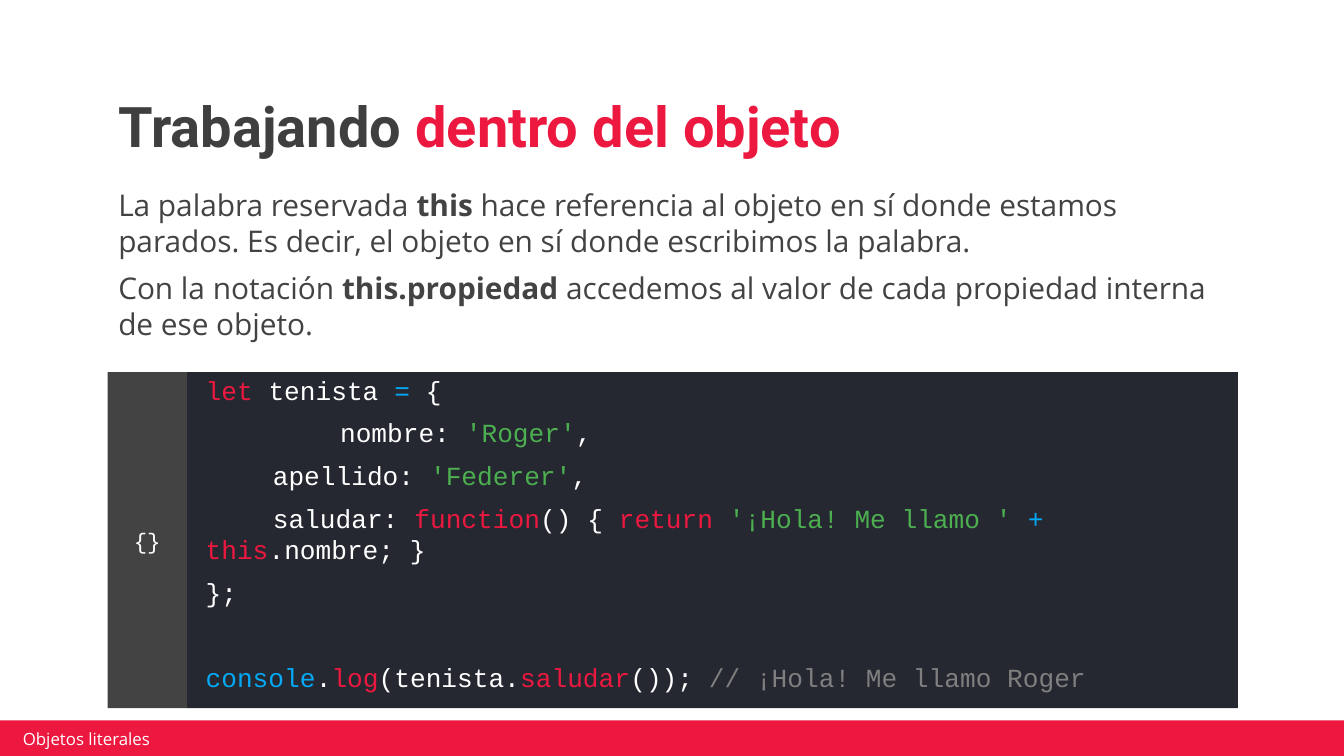
from lxml import etree
from pptx import Presentation
from pptx.dml.color import RGBColor
from pptx.enum.shapes import MSO_SHAPE
from pptx.enum.text import MSO_ANCHOR, MSO_AUTO_SIZE, PP_ALIGN
from pptx.util import Inches, Pt

RECTANGLE = MSO_SHAPE.RECTANGLE
MIDDLE, TOP, BOTTOM = MSO_ANCHOR.MIDDLE, MSO_ANCHOR.TOP, MSO_ANCHOR.BOTTOM
LEFT, CENTER = PP_ALIGN.LEFT, PP_ALIGN.CENTER
NO_FIT = MSO_AUTO_SIZE.NONE
DRAWING = "{http://schemas.openxmlformats.org/drawingml/2006/main}"

COLORS = {
    "red": "EC183F", "title": "3F3F3F", "text": "434343", "panel": "262831",
    "white": "FFFFFF", "blue": "03A9F4", "green": "4CAF50", "gray": "7F7F7F",
}

BODY = [
    [("La palabra reservada ", False), ("this", True),
     (" hace referencia al objeto en sí donde estamos parados. "
      "Es decir, el objeto en sí donde escribimos la palabra.", False)],
    [("Con la notación ", False), ("this.propiedad", True),
     (" accedemos al valor de cada propiedad interna de ese objeto.", False)],
]

# Each code line: first-line indent in inches, space before in points, runs
CODE = [
    (0, 6, [("let", "red"), (" tenista ", "white"), ("=", "blue"), (" {", "white")]),
    (1, 6, [("nombre: ", "white"), ("'Roger'", "green"), (",", "white")]),
    (0.5, 6, [("apellido: ", "white"), ("'Federer'", "green"), (",", "white")]),
    (0.5, 6, [("saludar: ", "white"), ("function", "red"), ("() { ", "white"),
              ("return ", "red"), ("'¡Hola! Me llamo ' ", "green"), ("+ ", "blue"),
              ("this", "red"), (".nombre; }", "white")]),
    (0, 6, [("};", "white")]),
    (0, 29, [("console", "blue"), (".", "white"), ("log", "red"),
             ("(tenista.", "white"), ("saludar", "red"), ("()); ", "white"),
             ("// ¡Hola! Me llamo Roger", "gray")]),
]


def color(name):
    return RGBColor.from_string(COLORS[name])


def place(shape, left, top, width, height):
    shape.left, shape.top = Inches(left), Inches(top)
    shape.width, shape.height = Inches(width), Inches(height)


def set_frame(shape, anchor, insets=(0.1, 0.1, 0.1, 0.1)):
    frame = shape.text_frame
    frame.word_wrap = True
    frame.auto_size = NO_FIT
    frame.vertical_anchor = anchor
    (frame.margin_left, frame.margin_top,
     frame.margin_right, frame.margin_bottom) = map(Inches, insets)
    return frame


def add_runs(paragraph, runs, font, size):
    """Add (text, color name, bold) runs in one font and size."""
    for text, color_name, bold in runs:
        run = paragraph.add_run()
        run.text = text
        run.font.name, run.font.size = font, Pt(size)
        run.font.bold = bold
        run.font.color.rgb = color(color_name)


def next_paragraph(frame, index, space_before, indent=0):
    paragraph = frame.add_paragraph() if index else frame.paragraphs[0]
    paragraph.alignment = LEFT
    paragraph.space_before = Pt(space_before)
    properties = paragraph._p.get_or_add_pPr()
    properties.set("marL", "0")
    properties.set("indent", str(Inches(indent)))
    etree.SubElement(properties, DRAWING + "buNone")
    return paragraph


def add_rectangle(shapes, fill, *box):
    shape = shapes.add_shape(RECTANGLE, *map(Inches, box))
    shape.shadow.inherit = False
    shape.fill.solid()
    shape.fill.fore_color.rgb = color(fill)
    shape.line.fill.background()
    return shape


def fill_title(title):
    place(title, 0.78, 0.6, 8.43, 0.69)
    paragraph = next_paragraph(set_frame(title, BOTTOM), 0, 0)
    paragraph.line_spacing = 0.9
    add_runs(paragraph, [("Trabajando ", "title", True),
                         ("dentro del objeto", "red", True)], "Roboto", 30)


def fill_body(body):
    place(body, 0.78, 1.29, 8.43, 0.53)
    frame = set_frame(body, TOP)
    for index, runs in enumerate(BODY):
        paragraph = next_paragraph(frame, index, 6)
        add_runs(paragraph, [(text, "text", bold) for text, bold in runs],
                 "Open Sans", 16)


def add_code_block(slide):
    top, height = 2.77, 2.5
    group = slide.shapes.add_group_shape()
    panel = add_rectangle(group.shapes, "panel", 1.39, top, 7.82, height)
    frame = set_frame(panel, MIDDLE, (0.14, 0, 0.1, 0.1))
    for index, (indent, space_before, runs) in enumerate(CODE):
        paragraph = next_paragraph(frame, index, space_before, indent)
        add_runs(paragraph, [(text, name, False) for text, name in runs],
                 "Courier New", 14)

    tab = add_rectangle(group.shapes, "text", 0.8, top, 0.59, height)
    paragraph = set_frame(tab, MIDDLE).paragraphs[0]
    paragraph.alignment = CENTER
    add_runs(paragraph, [("{}", "white", False)], "Courier New", 12)


def add_footer(slide):
    add_rectangle(slide.shapes, "red", -0.02, 5.36, 10.03, 0.27)
    label = slide.shapes.add_textbox(*map(Inches, (0.12, 5.42, 2.39, 0.15)))
    frame = set_frame(label, MIDDLE, (0.05, 0.02, 0.05, 0.02))
    add_runs(frame.paragraphs[0], [("Objetos literales", "white", False)],
             "Open Sans", 9)


def main():
    presentation = Presentation()
    # Widescreen 16:9
    presentation.slide_width = Inches(10)
    presentation.slide_height = presentation.slide_width * 9 // 16
    slide = presentation.slides.add_slide(presentation.slide_layouts[1])
    fill_title(slide.shapes.title)
    fill_body(slide.placeholders[1])
    add_code_block(slide)
    add_footer(slide)
    presentation.save("out.pptx")


main()
